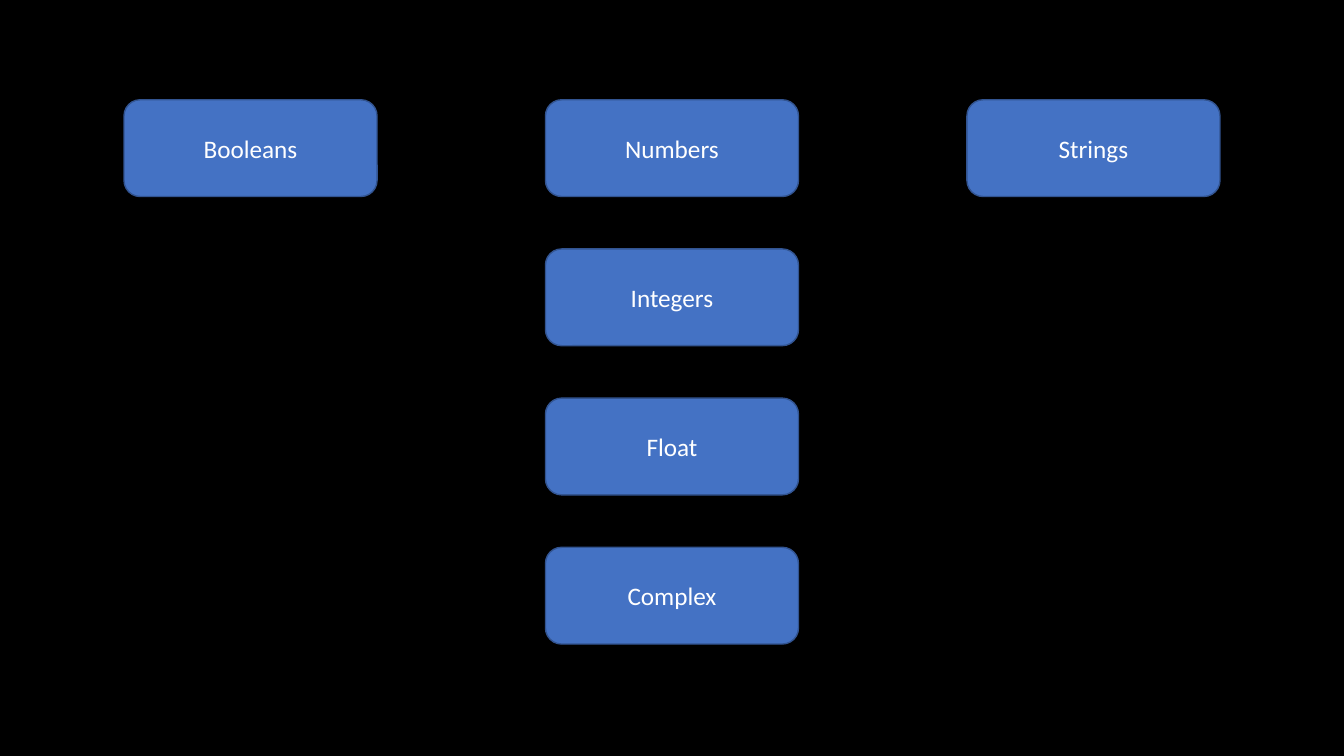
"""Build a slide that lays out basic data types as a grid of rounded boxes."""
from dataclasses import dataclass

import pptx
import pptx.dml.color
import pptx.enum.shapes
import pptx.enum.text
import pptx.slide
import pptx.util

Inches = pptx.util.Inches
RGBColor = pptx.dml.color.RGBColor

BLACK = RGBColor(0x00, 0x00, 0x00)
WHITE = RGBColor(0xFF, 0xFF, 0xFF)
BLUE = RGBColor(0x44, 0x72, 0xC4)
DARK_BLUE = RGBColor(0x32, 0x54, 0x91)

LEFT, TOP = 1.23, 0.99
COLUMN_STEP, ROW_STEP = 4.18, 1.48
BOX_WIDTH, BOX_HEIGHT = 2.51, 0.96

LABEL_FONT = {"name": "Calibri", "size": pptx.util.Pt(18)}


@dataclass(frozen=True)
class DataType:
    label: str
    column: int
    row: int


DATA_TYPES = [
    DataType("Booleans", 0, 0),
    DataType("Numbers", 1, 0),
    DataType("Strings", 2, 0),
    DataType("Integers", 1, 1),
    DataType("Float", 1, 2),
    DataType("Complex", 1, 3),
]


def draw_data_type(page: pptx.slide.Slide, data_type: DataType) -> None:
    box = page.shapes.add_shape(
        pptx.enum.shapes.MSO_SHAPE.ROUNDED_RECTANGLE,
        Inches(LEFT + data_type.column * COLUMN_STEP),
        Inches(TOP + data_type.row * ROW_STEP),
        Inches(BOX_WIDTH),
        Inches(BOX_HEIGHT),
    )
    box.shadow.inherit = False
    box.fill.solid()
    box.fill.fore_color.rgb = BLUE
    box.line.color.rgb = DARK_BLUE
    box.line.width = pptx.util.Pt(1)
    box.text_frame.vertical_anchor = pptx.enum.text.MSO_ANCHOR.MIDDLE
    para = box.text_frame.paragraphs[0]
    para.alignment = pptx.enum.text.PP_ALIGN.CENTER
    span = para.add_run()
    span.text = data_type.label
    for attribute, value in LABEL_FONT.items():
        setattr(span.font, attribute, value)
    span.font.color.rgb = WHITE


def main() -> None:
    deck = pptx.Presentation()
    deck.slide_width = Inches(13.33)
    deck.slide_height = Inches(7.5)
    page = deck.slides.add_slide(deck.slide_layouts[6])
    page.background.fill.solid()
    page.background.fill.fore_color.rgb = BLACK
    for data_type in DATA_TYPES:
        draw_data_type(page, data_type)
    deck.save("out.pptx")


if __name__ == "__main__":
    main()
